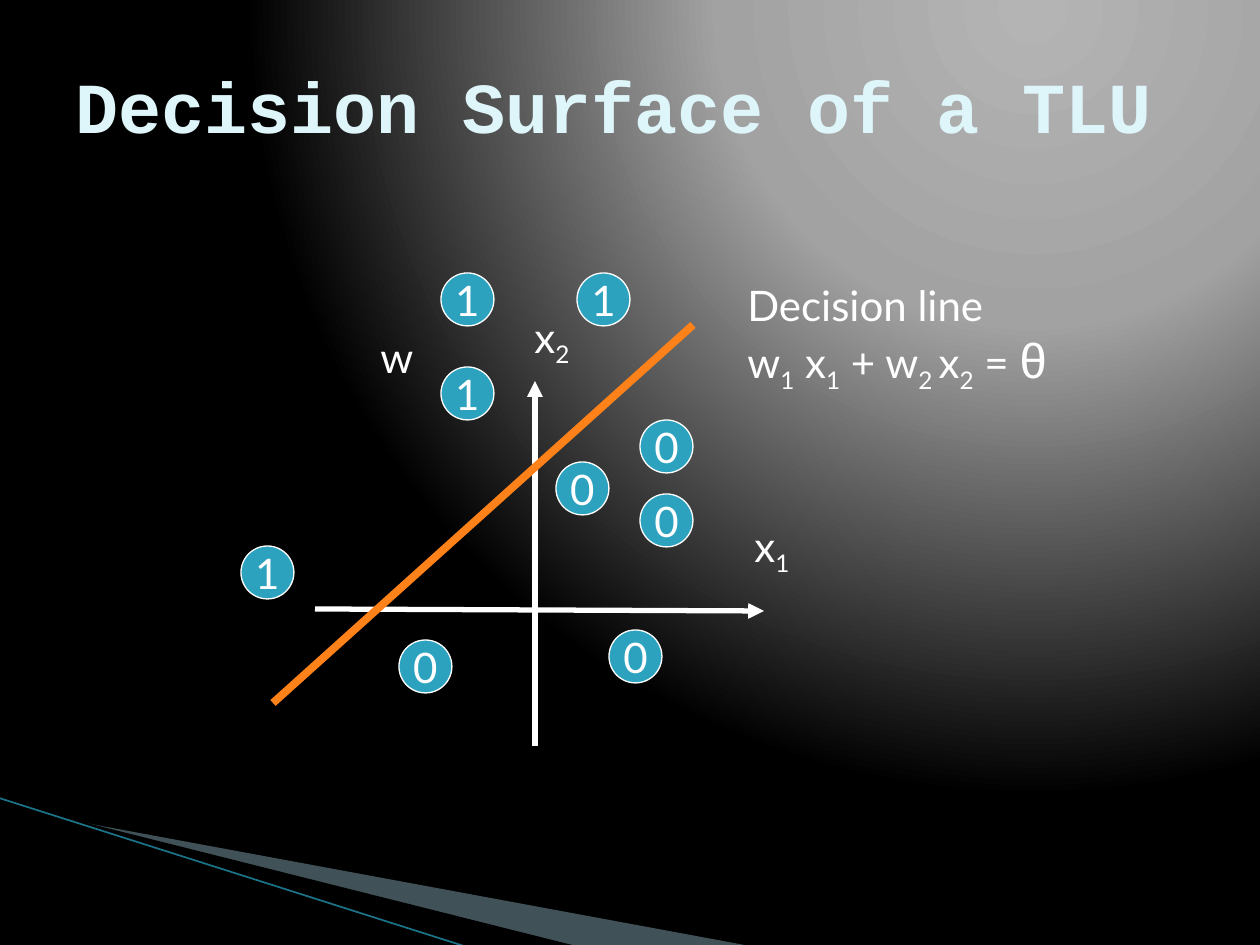
from pptx import Presentation
from pptx.dml.color import RGBColor
from pptx.enum.shapes import MSO_CONNECTOR, MSO_SHAPE
from pptx.enum.text import MSO_ANCHOR, MSO_AUTO_SIZE, PP_ALIGN
from pptx.oxml import parse_xml
from pptx.oxml.ns import nsdecls, qn
from pptx.oxml.xmlchemy import OxmlElement
from pptx.util import Pt

SCALE = 914400 / 126
WHITE = "FFFFFF"
DOT_SIZE = 53
BODY = {"name": "Lato", "size": Pt(24)}
THETA = {"name": "Arial", "size": Pt(28)}
TITLE = {"name": "Courier New", "size": Pt(41), "bold": True}
FREE_TEXT = {"word_wrap": False, "auto_size": MSO_AUTO_SIZE.SHAPE_TO_FIT_TEXT}
DOT_TEXT = {"word_wrap": False, "vertical_anchor": MSO_ANCHOR.MIDDLE}
TITLE_TEXT = {"word_wrap": True, "vertical_anchor": MSO_ANCHOR.MIDDLE}

BACKGROUND_STOPS = [(0, "B4B4B4"), (40, "A2A2A2"), (100, "000000")]
WEDGES = [
    ([(69, 820), (750, 946), (575, 946), (69, 819)], "A0CBDC", 40),
    ([(67, 818), (576, 946), (469, 948), (68, 819)], "000000", 100),
]
DOTS = [
    ("1", 441, 367), ("1", 441, 273), ("1", 577, 273),
    ("0", 640, 420), ("0", 640, 494), ("0", 609, 630),
    ("0", 399, 640), ("0", 556, 462), ("1", 241, 546),
]
EQUATION = [
    ("w", BODY, 0), ("1", BODY, 1), (" x", BODY, 0), ("1", BODY, 1),
    (" + w", BODY, 0), ("2 ", BODY, 1), ("x", BODY, 0), ("2", BODY, 1),
    (" = ", BODY, 0), ("θ", THETA, 0),
]


def px(*lengths):
    return [round(length * SCALE) for length in lengths]


def color(value):
    return RGBColor.from_string(value)


def set_values(target, values):
    for name, value in values.items():
        setattr(target, name, value)


def paint_background(page):
    page.background.fill.gradient()
    stops = "".join(
        f'<a:gs pos="{position * 1000}"><a:srgbClr val="{value}"/></a:gs>'
        for position, value in BACKGROUND_STOPS
    )
    gradient = parse_xml(
        f'<a:gradFill {nsdecls("a")} rotWithShape="1"><a:gsLst>{stops}</a:gsLst>'
        '<a:path path="circle"><a:fillToRect l="65000" t="0" r="0" b="98000"/>'
        "</a:path></a:gradFill>"
    )
    plain = page.background._cSld.find(".//" + qn("a:gradFill"))
    plain.getparent().replace(plain, gradient)


def add_wedge(page, points, fill, opacity):
    builder = page.shapes.build_freeform(*points[0], scale=SCALE)
    builder.add_line_segments(points[1:], close=True)
    wedge = builder.convert_to_shape()
    wedge.shadow.inherit = False
    wedge.line.fill.background()
    wedge.fill.solid()
    wedge.fill.fore_color.rgb = color(fill)
    if opacity < 100:
        alpha = OxmlElement("a:alpha")
        alpha.set("val", str(opacity * 1000))
        wedge._element.spPr.find(".//" + qn("a:srgbClr")).append(alpha)


def add_line(page, ends, stroke, width, arrow=False):
    line = page.shapes.add_connector(MSO_CONNECTOR.STRAIGHT, *px(*ends))
    line.line.color.rgb = color(stroke)
    line.line.width = Pt(width)
    if arrow:
        head = OxmlElement("a:headEnd")
        head.set("type", "triangle")
        line.line._get_or_add_ln().append(head)
    line._element.spPr.append(OxmlElement("a:effectLst"))


def write(frame, lines, layout, fill=WHITE, align=PP_ALIGN.LEFT):
    set_values(frame, layout)
    for index, spans in enumerate(lines):
        para = frame.add_paragraph() if index else frame.paragraphs[0]
        para.alignment = align
        for text, style, lowered in spans:
            span = para.add_run()
            span.text = text
            set_values(span.font, style)
            span.font.color.rgb = color(fill)
            if lowered:
                span._r.get_or_add_rPr().set("baseline", "-25000")


def add_text(page, place, lines, layout=FREE_TEXT, fill=WHITE):
    box = page.shapes.add_textbox(*px(*place))
    write(box.text_frame, lines, layout, fill)


def add_dot(page, label, left, top):
    dot = page.shapes.add_shape(MSO_SHAPE.OVAL, *px(left, top, DOT_SIZE, DOT_SIZE))
    dot.shadow.inherit = False
    dot.fill.solid()
    dot.fill.fore_color.rgb = color("2DA2BF")
    dot.line.color.rgb = color(WHITE)
    dot.line.width = Pt(0.75)
    write(dot.text_frame, [[(label, BODY, 0)]], DOT_TEXT, align=PP_ALIGN.CENTER)


def main():
    deck = Presentation()
    deck.slide_width, deck.slide_height = px(1260, 945)
    page = deck.slides.add_slide(deck.slide_layouts[6])
    paint_background(page)
    for points, fill, opacity in WEDGES:
        add_wedge(page, points, fill, opacity)
    add_line(page, (-1, 798, 467, 947), "1B7489", 0.95)

    title = [[("Decision Surface of a TLU", TITLE, 0)]]
    add_text(page, (63, 26, 1134, 158), title, TITLE_TEXT, "DEF5FA")

    add_line(page, (535, 381, 535, 746), WHITE, 3, arrow=True)
    add_line(page, (764, 611, 315, 609), WHITE, 3, arrow=True)
    for number, left, top in (("1", 742, 514), ("2", 522, 305)):
        add_text(page, (left, top, 62, 63), [[("x", BODY, 0), (number, BODY, 1)]])
    add_line(page, (273, 703, 693, 325), "FF8119", 4.5)
    add_text(page, (735, 273, 352, 122), [[("Decision line", BODY, 0)], EQUATION])
    add_text(page, (368, 325, 57, 63), [[("w", BODY, 0)]])

    for label, left, top in DOTS:
        add_dot(page, label, left, top)
    deck.save("out.pptx")


if __name__ == "__main__":
    main()
